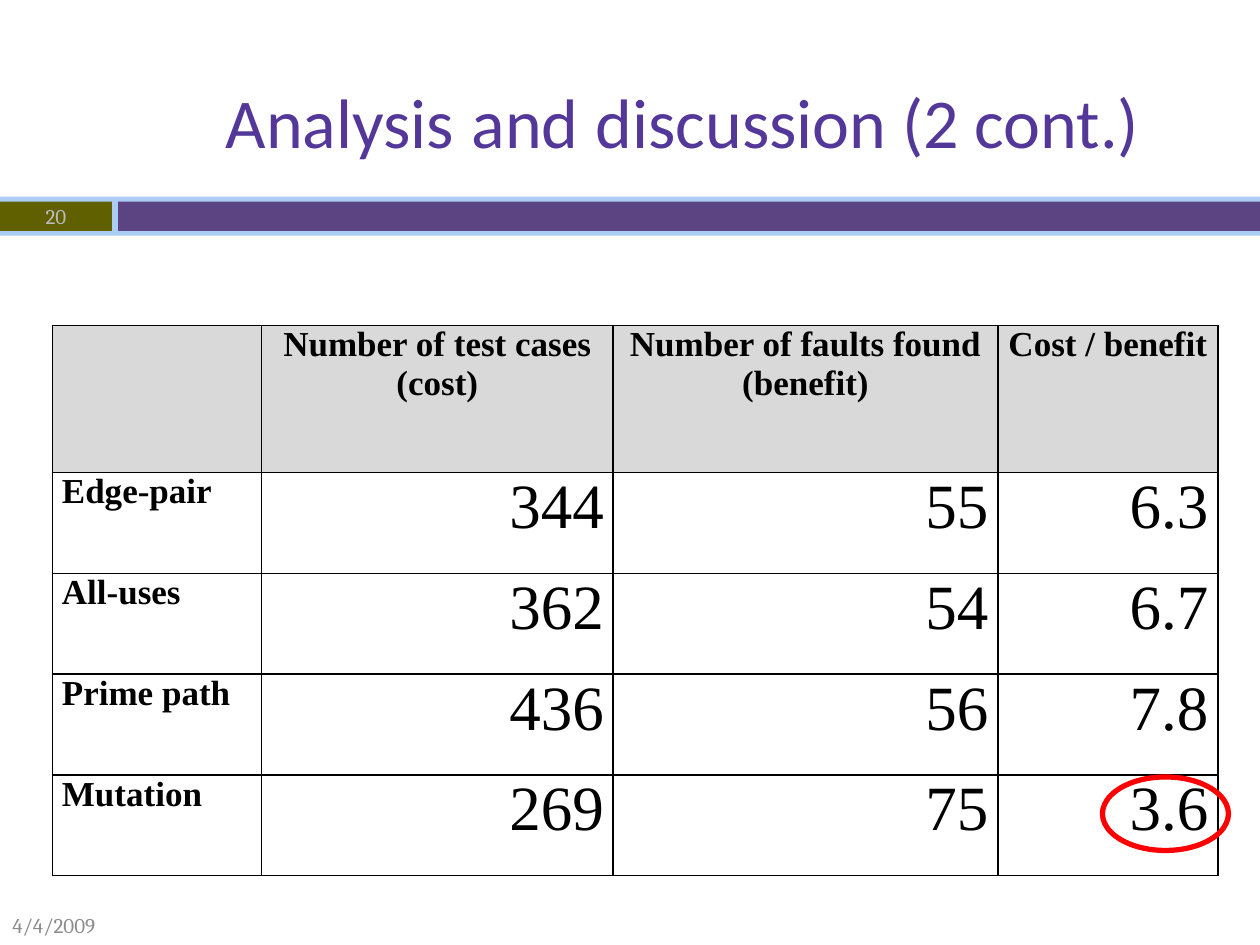
from dataclasses import dataclass

from lxml.etree import SubElement
from pptx import Presentation
from pptx.dml.color import RGBColor
from pptx.enum.shapes import MSO_SHAPE as Preset
from pptx.enum.text import MSO_ANCHOR as Anchor, PP_ALIGN as Align
from pptx.oxml.ns import qn
from pptx.util import Pt


@dataclass(frozen=True)
class Theme:
    title: str = "533799"
    pale_band: str = "ABCDF4"
    number_band: str = "606000"
    main_band: str = "5C4381"
    date: str = "8C8C8C"
    number: str = "BDBDBD"
    ink: str = "000000"
    header: str = "D9D9D9"
    paper: str = "FFFFFF"
    highlight: str = "FF0000"
    title_font: str = "Calibri"
    small_font: str = "Cambria"
    table_font: str = "Times New Roman"
    title_size: int = 40
    title_space_size: int = 44
    small_size: int = 12
    label_size: int = 20
    value_size: int = 36


@dataclass(frozen=True)
class Box:
    left: float
    top: float
    width: float
    height: float

    def lengths(self) -> tuple:
        return Pt(self.left), Pt(self.top), Pt(self.width), Pt(self.height)


@dataclass(frozen=True)
class Band:
    box: Box
    color: str


@dataclass(frozen=True)
class Criterion:
    label: str
    cost: str
    benefit: str
    ratio: str


THEME = Theme()
BANDS = [
    Band(Box(0, 112.3, 720, 22.3), THEME.pale_band),
    Band(Box(0, 115.2, 64, 16.8), THEME.number_band),
    Band(Box(67.5, 115.2, 652.5, 16.8), THEME.main_band),
]
HEADINGS = ["", "Number of test cases (cost)", "Number of faults found (benefit)", "Cost / benefit"]
CRITERIA = [
    Criterion("Edge-pair", "344", "55", "6.3"),
    Criterion("All-uses", "362", "54", "6.7"),
    Criterion("Prime path", "436", "56", "7.8"),
    Criterion("Mutation", "269", "75", "3.6"),
]
COLUMN_WIDTHS = [119.4, 201, 219.8, 125.8]
HEADER_HEIGHT, ROW_HEIGHT = 84, 57.6


def rgb(color: str) -> RGBColor:
    return RGBColor.from_string(color)


def write(frame, text: str, *, size: float, font: str, color: str,
          bold: bool = False, align=Align.LEFT) -> None:
    paragraph = frame.paragraphs[0]
    paragraph.alignment = align
    run = paragraph.add_run()
    run.text = text
    run.font.size = Pt(size)
    run.font.name = font
    run.font.bold = bold
    run.font.color.rgb = rgb(color)


def draw_band(slide, band: Band) -> None:
    strip = slide.shapes.add_shape(Preset.RECTANGLE, *band.box.lengths())
    strip.shadow.inherit = False
    strip.fill.solid()
    strip.fill.fore_color.rgb = rgb(band.color)
    strip.line.fill.background()


def draw_note(slide, box: Box, text: str, color: str, align) -> None:
    frame = slide.shapes.add_textbox(*box.lengths()).text_frame
    frame.word_wrap = True
    frame.vertical_anchor = Anchor.MIDDLE
    write(frame, text, size=THEME.small_size, font=THEME.small_font, color=color, align=align)


def format_cell(cell, text: str, fill: str, **style) -> None:
    cell.margin_left = cell.margin_right = Pt(5.4)
    cell.margin_top = cell.margin_bottom = Pt(0)
    properties = cell._tc.get_or_add_tcPr()
    for side in ("a:lnL", "a:lnR", "a:lnT", "a:lnB"):
        border = SubElement(properties, qn(side), w=str(Pt(1)))
        paint = SubElement(border, qn("a:solidFill"))
        SubElement(paint, qn("a:srgbClr"), val=THEME.ink)
    cell.fill.solid()
    cell.fill.fore_color.rgb = rgb(fill)
    if text:
        write(cell.text_frame, text, font=THEME.table_font, color=THEME.ink, **style)


def draw_table(slide, left: float, top: float) -> None:
    height = HEADER_HEIGHT + ROW_HEIGHT * len(CRITERIA)
    box = Box(left, top, sum(COLUMN_WIDTHS), height)
    table = slide.shapes.add_table(
        len(CRITERIA) + 1, len(HEADINGS), *box.lengths()).table
    table.first_row = table.horz_banding = False
    for column, width in zip(table.columns, COLUMN_WIDTHS):
        column.width = Pt(width)
    for index, row in enumerate(table.rows):
        row.height = Pt(ROW_HEIGHT if index else HEADER_HEIGHT)
    for column, heading in enumerate(HEADINGS):
        format_cell(table.cell(0, column), heading, THEME.header,
                    size=THEME.label_size, bold=True, align=Align.CENTER)
    for row, criterion in enumerate(CRITERIA, 1):
        format_cell(table.cell(row, 0), criterion.label, THEME.paper,
                    size=THEME.label_size, bold=True, align=Align.JUSTIFY)
        values = (criterion.cost, criterion.benefit, criterion.ratio)
        for column, value in enumerate(values, 1):
            format_cell(table.cell(row, column), value, THEME.paper,
                        size=THEME.value_size, align=Align.RIGHT)


def draw_title(slide, box: Box) -> None:
    title = slide.shapes.title
    title.left, title.top, title.width, title.height = box.lengths()
    title.text_frame.vertical_anchor = Anchor.MIDDLE
    for part in ("Analysis", " ", "and", " ", "discussion (2 cont.)"):
        size = THEME.title_size if part.strip() else THEME.title_space_size
        write(title.text_frame, part, size=size, font=THEME.title_font,
              color=THEME.title, align=Align.CENTER)


def draw_highlight(slide, box: Box) -> None:
    ring = slide.shapes.add_shape(Preset.OVAL, *box.lengths())
    ring.shadow.inherit = False
    ring.fill.background()
    ring.line.color.rgb = rgb(THEME.highlight)
    ring.line.width = Pt(3)


def main() -> None:
    deck = Presentation()
    deck.slide_width, deck.slide_height = Pt(720), Pt(540)
    slide = deck.slides.add_slide(deck.slide_layouts[5])
    for band in BANDS:
        draw_band(slide, band)
    draw_note(slide, Box(0, 517.5, 142, 22.5), "4/4/2009", THEME.date, Align.LEFT)
    draw_title(slide, Box(66, 22.5, 648, 90))
    draw_table(slide, 30, 186)
    draw_note(slide, Box(0, 112.5, 64, 22.5), "20", THEME.number, Align.CENTER)
    draw_highlight(slide, Box(630, 444, 72, 42))
    deck.save("out.pptx")


main()
